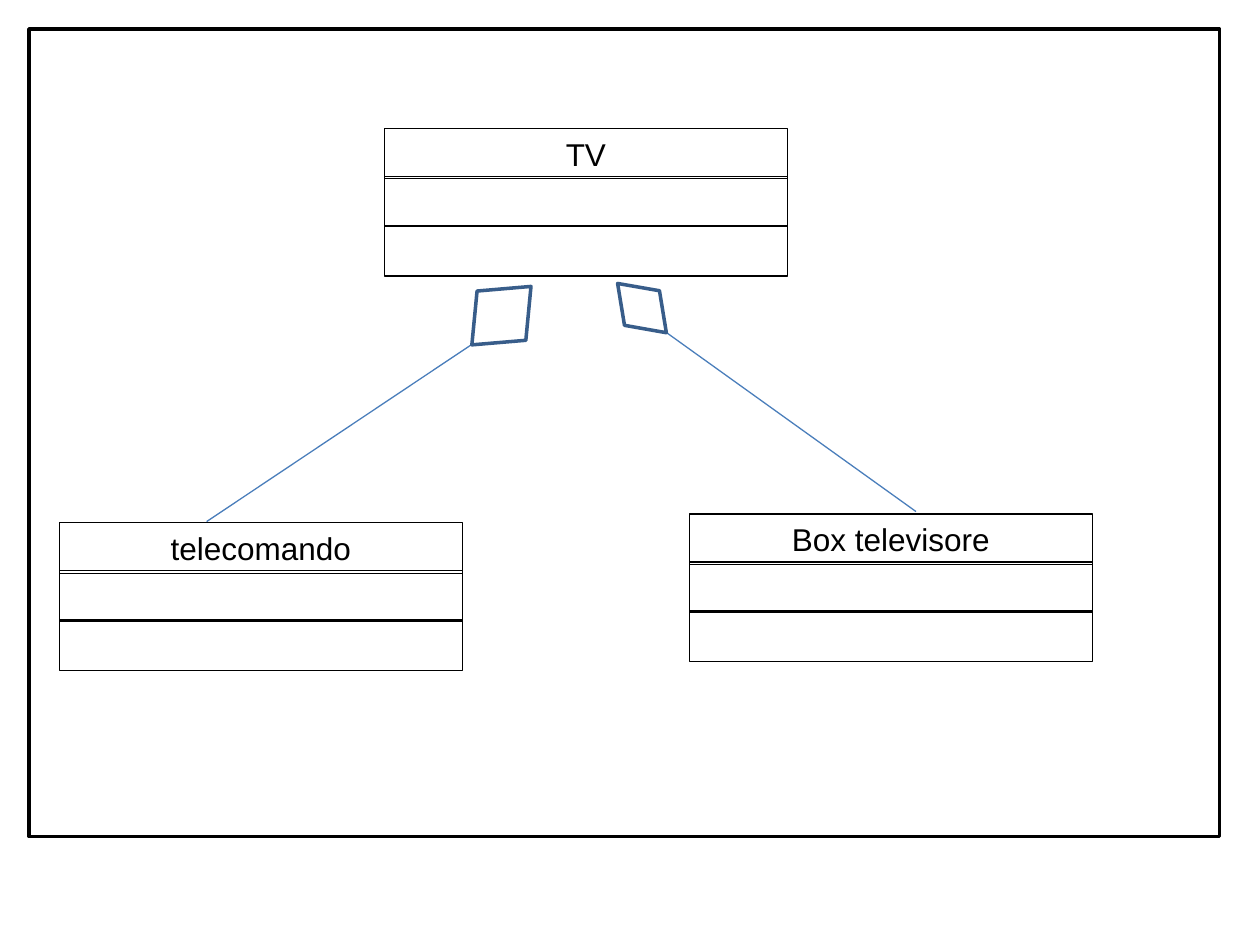
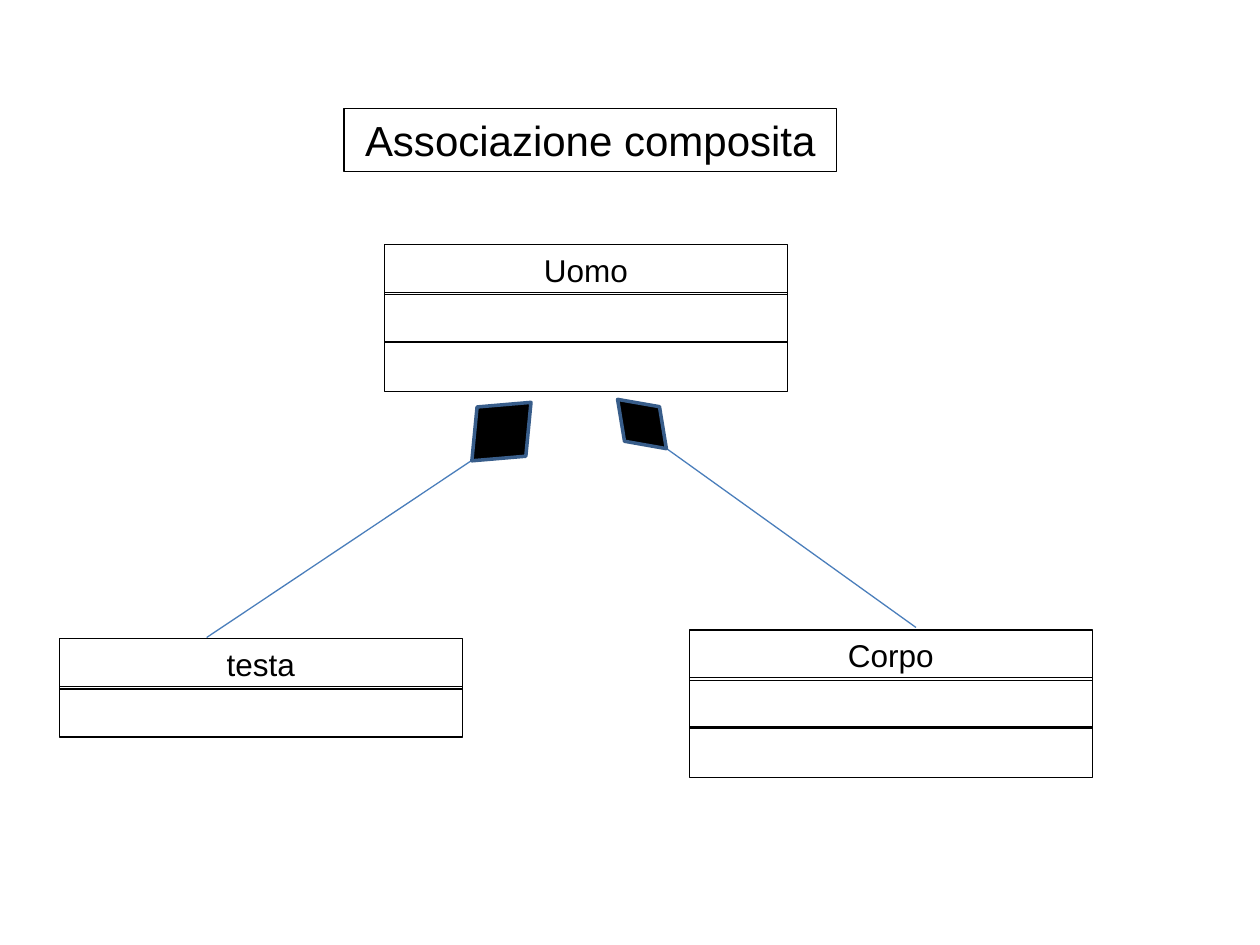
from pptx import Presentation
from pptx.dml.color import RGBColor
from pptx.enum.shapes import MSO_CONNECTOR as Connector, MSO_SHAPE as Shape
from pptx.enum.text import MSO_ANCHOR as Anchor, PP_ALIGN as Align
from pptx.oxml.ns import qn
from pptx.util import Inches, Pt

# Content: class names with their number of compartments
DIAGRAMS = [
    {"top": 1.02, "whole": ("TV", 3), "framed": True, "composite": False,
     "parts": [("telecomando", 3), ("Box televisore", 3)]},
    {"top": 1.94, "whole": ("Uomo", 3), "title": "Associazione composita",
     "composite": True, "parts": [("testa", 2), ("Corpo", 3)]},
]

# Shared style
FONT = "Arial"
BLACK = RGBColor(0x00, 0x00, 0x00)
LINK_BLUE = RGBColor(0x4A, 0x7E, 0xBB)
DIAMOND_BLUE = RGBColor(0x38, 0x5D, 0x8A)

# Shared geometry in inches; heights below are measured from the whole's top
CLASS_WIDTH, ROW_HEIGHT = 3.2, 0.4
ROW_OFFSETS = (0, 0.38, 0.77)
WHOLE_LEFT = 3.05
PART_PLACES = [(0.47, 3.13), (5.47, 3.06)]
LINKS = [((1.64, 3.12), (3.75, 1.71)), ((7.27, 3.04), (5.29, 1.62))]
DIAMONDS = [(3.65, 1.21, 0.66, 0.55), (4.9, 1.15, 0.39, 0.55)]
DIAMOND_ROTATION = 315.3
TITLE_PLACE = (2.73, 0.86, 3.91, 0.5)
FRAME_PLACE = (0.23, 0.23, 9.45, 6.41)


def add_outline(page, kind, place, color=BLACK, width=0.75):
    shape = page.shapes.add_shape(kind, *map(Inches, place))
    shape.shadow.inherit = False
    shape.fill.background()
    shape.line.color.rgb = color
    shape.line.width = Pt(width)
    return shape


def add_label(page, place, text, size):
    box = add_outline(page, Shape.RECTANGLE, place)
    frame = box.text_frame
    frame.word_wrap = True
    frame.vertical_anchor = Anchor.TOP
    frame.text = text
    para = frame.paragraphs[0]
    para.alignment = Align.CENTER
    font = para.runs[0].font
    font.name, font.size, font.color.rgb = FONT, Pt(size), BLACK


def add_class(page, left, top, name, rows):
    for row, offset in enumerate(ROW_OFFSETS[:rows]):
        place = (left, top + offset, CLASS_WIDTH, ROW_HEIGHT)
        if row == 0:
            add_label(page, place, name, 18)
        else:
            add_outline(page, Shape.RECTANGLE, place)


def add_link(page, top, start, end):
    (x1, y1), (x2, y2) = start, end
    ends = map(Inches, (x1, top + y1, x2, top + y2))
    link = page.shapes.add_connector(Connector.STRAIGHT, *ends)
    link.line.color.rgb = LINK_BLUE
    link.line.width = Pt(0.75)
    properties = link._element.spPr
    properties.append(properties.makeelement(qn("a:effectLst"), {}))


def add_diamond(page, top, place, filled):
    left, offset, width, height = place
    diamond = add_outline(page, Shape.DIAMOND, (left, top + offset, width, height),
                          DIAMOND_BLUE, 2)
    diamond.rotation = DIAMOND_ROTATION
    if filled:
        diamond.fill.solid()
        diamond.fill.fore_color.rgb = BLACK


def add_diagram(deck, diagram):
    page = deck.slides.add_slide(deck.slide_layouts[6])
    top = diagram["top"]

    # Classes
    add_class(page, WHOLE_LEFT, top, *diagram["whole"])
    for (left, offset), part in zip(PART_PLACES, diagram["parts"]):
        add_class(page, left, top + offset, *part)

    # Associations
    for start, end in LINKS:
        add_link(page, top, start, end)
    for place in DIAMONDS:
        add_diamond(page, top, place, diagram["composite"])

    # Title and frame
    if "title" in diagram:
        add_label(page, TITLE_PLACE, diagram["title"], 24)
    if diagram.get("framed"):
        add_outline(page, Shape.RECTANGLE, FRAME_PLACE, width=2)


def main():
    deck = Presentation()
    deck.slide_width, deck.slide_height = Inches(10), Inches(7.5)
    for diagram in DIAGRAMS:
        add_diagram(deck, diagram)
    deck.save("out.pptx")


if __name__ == "__main__":
    main()
